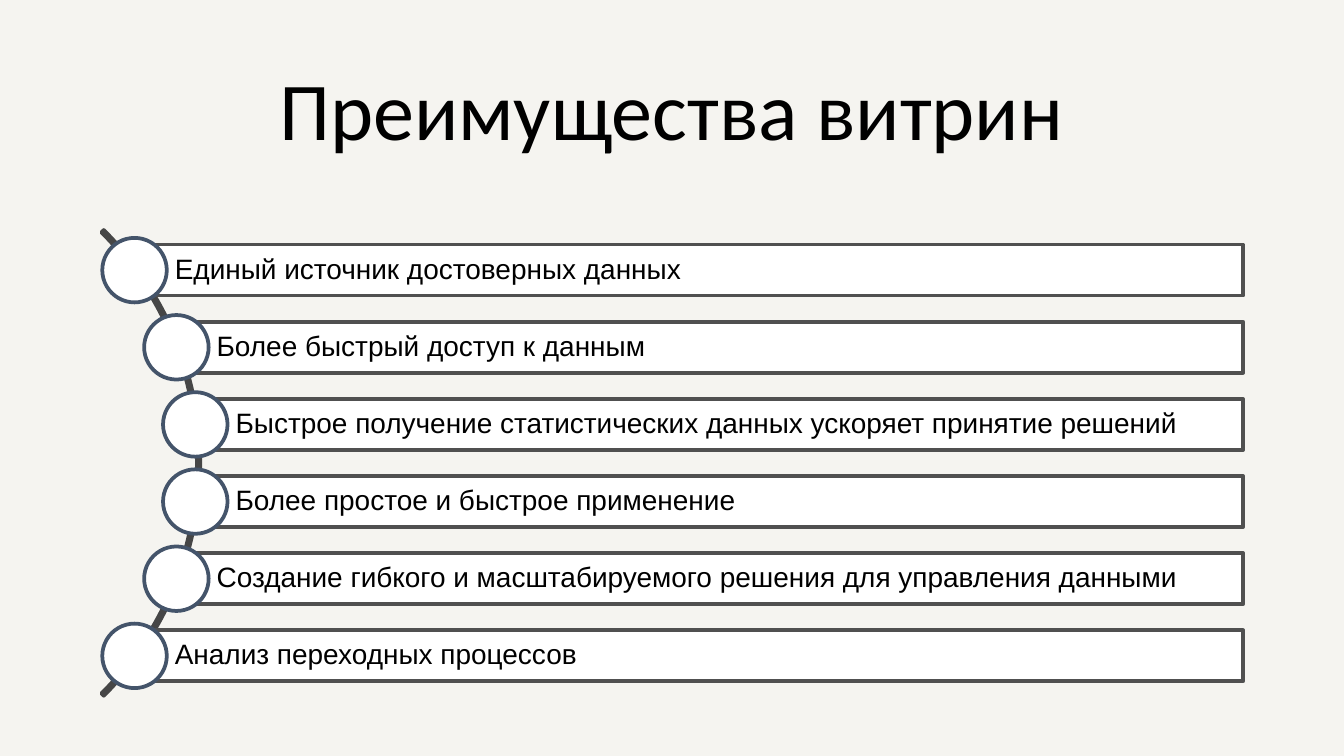
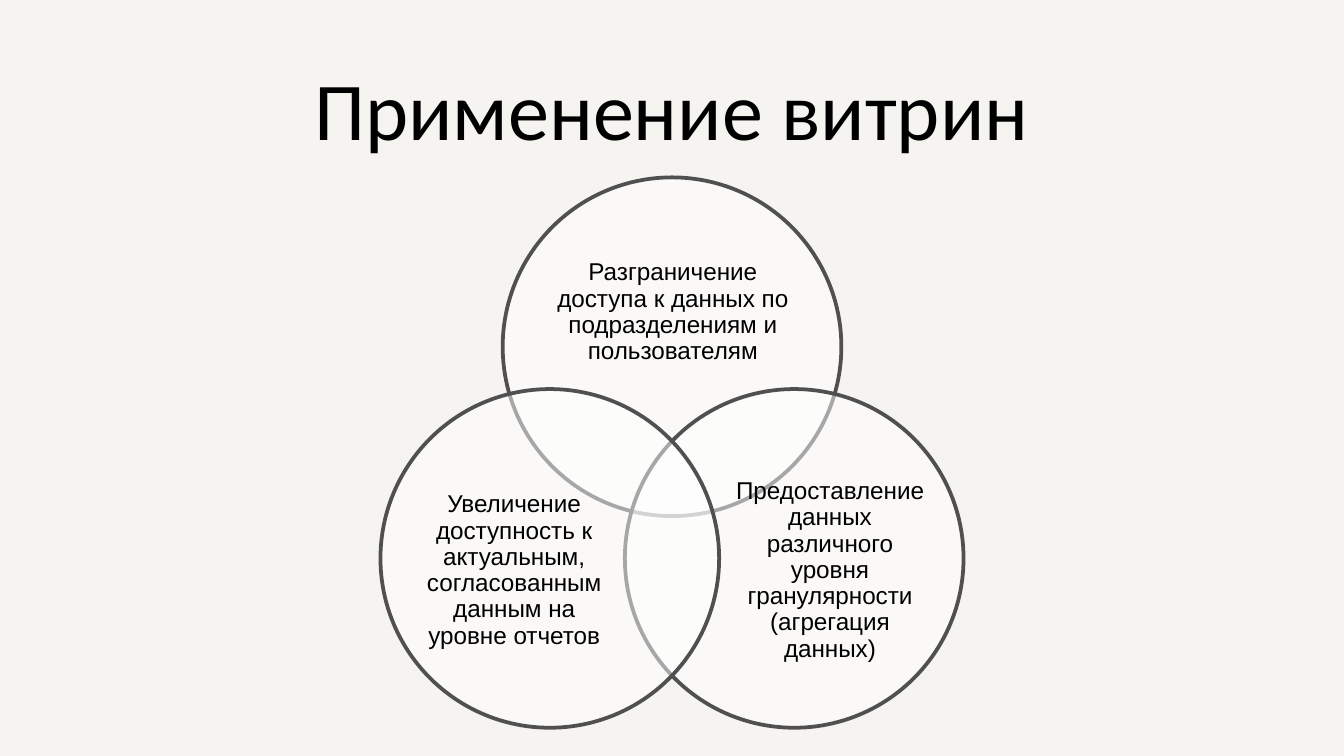
"""Build two slides on data marts: their advantages and their uses."""
from math import cos, radians, sin, sqrt

from lxml import etree
from pptx import Presentation
from pptx.dml.color import RGBColor
from pptx.enum.shapes import MSO_SHAPE
from pptx.enum.text import MSO_ANCHOR, MSO_AUTO_SIZE, PP_ALIGN
from pptx.oxml.ns import qn
from pptx.util import Inches, Pt

RECTANGLE, OVAL, ARC = MSO_SHAPE.RECTANGLE, MSO_SHAPE.OVAL, MSO_SHAPE.BLOCK_ARC
LEFT, CENTER = PP_ALIGN.LEFT, PP_ALIGN.CENTER
MIDDLE, BOTTOM = MSO_ANCHOR.MIDDLE, MSO_ANCHOR.BOTTOM
NO_FIT = MSO_AUTO_SIZE.NONE

SLIDE_WIDTH = 10
SLIDE_HEIGHT = SLIDE_WIDTH * 9 / 16
PAPER, WHITE, BLACK = "F5F4F0", "FFFFFF", "000000"
OUTLINE, ARC_LINE, BULLET_LINE = "505050", "464646", "44546A"

TITLE_BOX = (0.34, 0.36, 9.32, 0.91)
TITLE_FORMAT = {"name": "Calibri", "size": Pt(44)}
BAR_FORMAT = {"name": "Arial", "size": Pt(15)}
USE_FORMAT = {"name": "Arial", "size": Pt(13)}

ADVANTAGES_TITLE = "Преимущества витрин"
ADVANTAGES = [
    "Единый источник достоверных данных",
    "Более быстрый доступ к данным",
    "Быстрое получение статистических данных ускоряет принятие решений",
    "Более простое и быстрое применение",
    "Создание гибкого и масштабируемого решения для управления данными",
    "Анализ переходных процессов",
]
FIRST_Y, LAST_Y = 2.01, 4.88
BAR_RIGHT, BAR_HEIGHT, BULLET_SIZE = 9.25, 0.38, 0.48
ARC_X, ARC_SIZE, ORBIT = -0.96, 4.9, 2.43
ARC_ADJUSTMENTS = (189, 27, 0.005)

USES_TITLE = "Применение витрин"
USES = [
    (-90, "Разграничение доступа к данных по подразделениям и пользователям",
     (4.08, 1.76, 1.85, 1.13)),
    (30, "Предоставление данных различного уровня гранулярности (агрегация данных)",
     (5.42, 3.55, 1.51, 1.39)),
    (150, "Увеличение доступность к актуальным, согласованным данным на уровне отчетов",
     (3.07, 3.55, 1.51, 1.39)),
]
VENN_X, VENN_Y, VENN_REACH, VENN_SIZE = 5, 3.63, 1.05, 2.52


def rgb(value):
    return RGBColor.from_string(value)


def inches(box):
    return [Inches(length) for length in box]


def centred(x, y, size):
    return x - size / 2, y - size / 2, size, size


def write(frame, text, font_format, margins, align, anchor=MIDDLE, spacing=0.9):
    sides = ("margin_left", "margin_top", "margin_right", "margin_bottom")
    frame_format = dict(zip(sides, inches(margins)), word_wrap=True,
                        auto_size=NO_FIT, vertical_anchor=anchor)
    for name, value in frame_format.items():
        setattr(frame, name, value)
    paragraph = frame.paragraphs[0]
    paragraph.alignment, paragraph.line_spacing = align, spacing
    run = paragraph.add_run()
    run.text = text
    for name, value in font_format.items():
        setattr(run.font, name, value)
    run.font.color.rgb = rgb(BLACK)


def draw(slide, kind, box, line, fill=WHITE, opacity=100):
    shape = slide.shapes.add_shape(kind, *inches(box))
    shape.shadow.inherit = False
    shape.line.color.rgb = rgb(line)
    shape.line.width = Pt(2)
    if fill is None:
        shape.fill.background()
        return shape
    shape.fill.solid()
    shape.fill.fore_color.rgb = rgb(fill)
    if opacity < 100:
        colour = shape.fill._xPr.find(qn("a:solidFill"))[0]
        etree.SubElement(colour, qn("a:alpha"), val=str(opacity * 1000))
    return shape


def add_titled_slide(deck, text):
    slide = deck.slides.add_slide(deck.slide_layouts[5])
    title = slide.shapes.title
    title.left, title.top, title.width, title.height = inches(TITLE_BOX)
    write(title.text_frame, text, TITLE_FORMAT, (0.1,) * 4, CENTER, BOTTOM, 1.0)
    return slide


def build_advantages(deck):
    slide = add_titled_slide(deck, ADVANTAGES_TITLE)
    middle_y = (FIRST_Y + LAST_Y) / 2
    arc = draw(slide, ARC, centred(ARC_X, middle_y, ARC_SIZE), ARC_LINE, None)
    for index, value in enumerate(ARC_ADJUSTMENTS):
        arc.adjustments[index] = value
    step = (LAST_Y - FIRST_Y) / (len(ADVANTAGES) - 1)
    for index, advantage in enumerate(ADVANTAGES):
        y = FIRST_Y + index * step
        x = ARC_X + sqrt(ORBIT ** 2 - (y - middle_y) ** 2)
        bar_box = (x, y - BAR_HEIGHT / 2, BAR_RIGHT - x, BAR_HEIGHT)
        bar = draw(slide, RECTANGLE, bar_box, OUTLINE)
        write(bar.text_frame, advantage, BAR_FORMAT, (0.3, 0.04, 0.04, 0.04), LEFT)
        draw(slide, OVAL, centred(x, y, BULLET_SIZE), BULLET_LINE)


def build_uses(deck):
    slide = add_titled_slide(deck, USES_TITLE)
    for angle, use, label_box in USES:
        x = VENN_X + VENN_REACH * cos(radians(angle))
        y = VENN_Y + VENN_REACH * sin(radians(angle))
        draw(slide, OVAL, centred(x, y, VENN_SIZE), OUTLINE, opacity=50)
        label = slide.shapes.add_textbox(*inches(label_box))
        write(label.text_frame, use, USE_FORMAT, (0,) * 4, CENTER)


def main():
    deck = Presentation()
    deck.slide_width, deck.slide_height = inches((SLIDE_WIDTH, SLIDE_HEIGHT))
    backdrop = deck.slide_master.background.fill
    backdrop.solid()
    backdrop.fore_color.rgb = rgb(PAPER)
    build_advantages(deck)
    build_uses(deck)
    deck.save("out.pptx")


if __name__ == "__main__":
    main()
